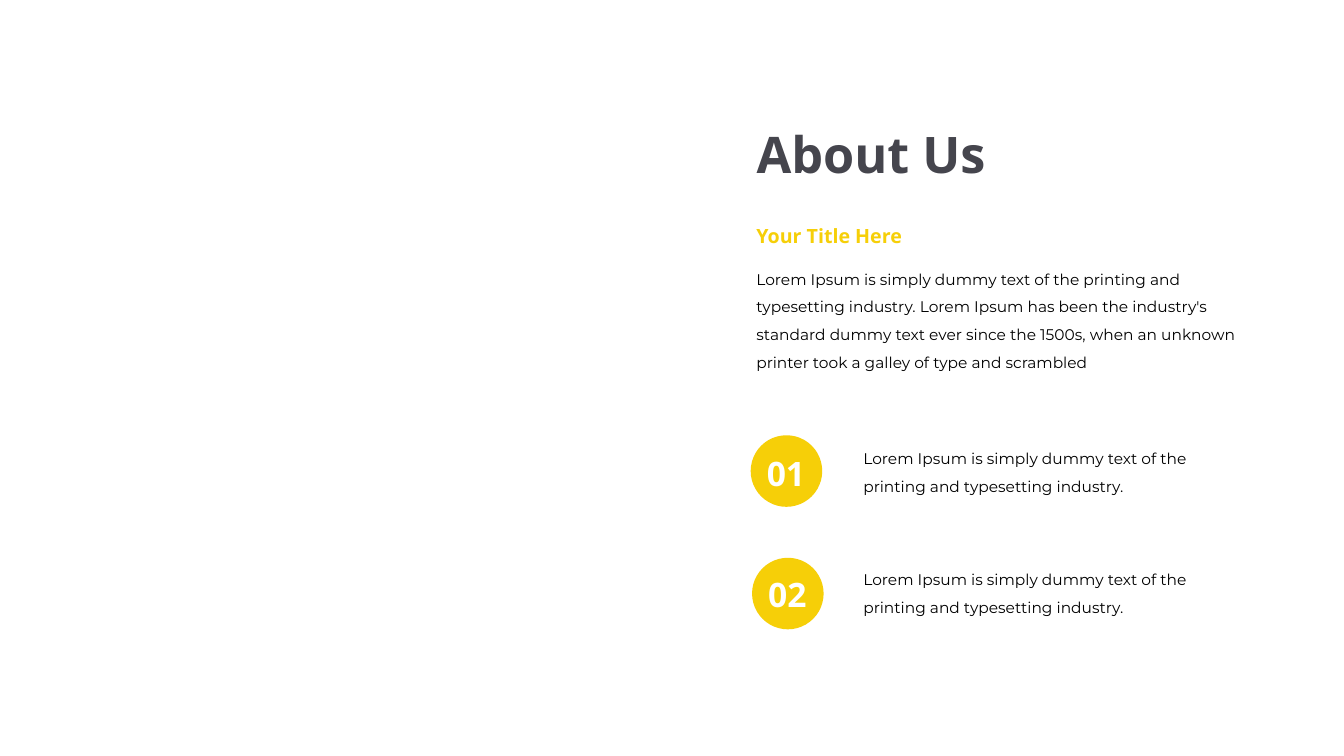
import pptx
import pptx.util
import pptx.dml.color
import pptx.enum.shapes
import pptx.enum.text

Pt = pptx.util.Pt
ALIGN = pptx.enum.text.PP_ALIGN
YELLOW = pptx.dml.color.RGBColor(0xF6, 0xCF, 0x08)
DARK = pptx.dml.color.RGBColor(0x45, 0x45, 0x4D)
BLACK = pptx.dml.color.RGBColor(0x00, 0x00, 0x00)
WHITE = pptx.dml.color.RGBColor(0xFF, 0xFF, 0xFF)

TITLE = {"name": "Open Sans", "size": Pt(36), "bold": True}
SUBTITLE = {"name": "Open Sans", "size": Pt(14), "bold": True}
NUMBER = {"name": "Open Sans", "size": Pt(24), "bold": True}
BODY = {"name": "Montserrat", "size": Pt(11), "bold": False}


def place(sp, left, top, width, height):
    sp.left, sp.top, sp.width, sp.height = Pt(left), Pt(top), Pt(width), Pt(height)


def write(sp, text, font, color, align=ALIGN.LEFT, spacing=1.0):
    tf = sp.text_frame
    tf.word_wrap = True
    tf.auto_size = pptx.enum.text.MSO_AUTO_SIZE.SHAPE_TO_FIT_TEXT
    tf.vertical_anchor = pptx.enum.text.MSO_ANCHOR.TOP
    p = tf.paragraphs[0]
    p.alignment = align
    p.line_spacing = spacing
    r = p.add_run()
    r.text = text
    for key, value in font.items():
        setattr(r.font, key, value)
    r.font.color.rgb = color


prs = pptx.Presentation()
prs.slide_width, prs.slide_height = Pt(960), Pt(540)
s = prs.slides.add_slide(prs.slide_layouts[5])
left = 533.2

# Title
place(s.shapes.title, left, 84.5, 384, 51)
write(s.shapes.title, "About Us", TITLE, DARK)

# Subtitle and introduction
sp = s.shapes.add_textbox(Pt(left), Pt(156.6), Pt(216), Pt(24.5))
write(sp, "Your Title Here", SUBTITLE, YELLOW)

intro = (
    "Lorem Ipsum is simply dummy text of the printing and typesetting industry. "
    "Lorem Ipsum has been the industry's standard dummy text ever since the 1500s, "
    "when an unknown printer took a galley of type and scrambled"
)
sp = s.shapes.add_textbox(Pt(left), Pt(182.6), Pt(366), Pt(87))
write(sp, intro, BODY, BLACK, spacing=1.5)

# Numbered points: number, circle left, circle top, number top, text top
diameter = 51.1
number_width = 58
points = [("01", 536.2, 310.9, 319.9, 311), ("02", 537.2, 398.4, 406.6, 397.3)]
for number, x, y, number_top, text_top in points:
    sp = s.shapes.add_shape(
        pptx.enum.shapes.MSO_SHAPE.OVAL, Pt(x), Pt(y), Pt(diameter), Pt(diameter))
    sp.shadow.inherit = False
    sp.fill.solid()
    sp.fill.fore_color.rgb = YELLOW
    sp.line.fill.background()

    number_left = x + (diameter - number_width) / 2 - 0.3
    sp = s.shapes.add_textbox(Pt(number_left), Pt(number_top), Pt(number_width), Pt(36.4))
    write(sp, number, NUMBER, WHITE, ALIGN.CENTER)

    sp = s.shapes.add_textbox(Pt(609.6), Pt(text_top), Pt(273), Pt(45.4))
    write(sp, "Lorem Ipsum is simply dummy text of the printing and typesetting industry.",
          BODY, BLACK, spacing=1.5)

prs.save("out.pptx")
